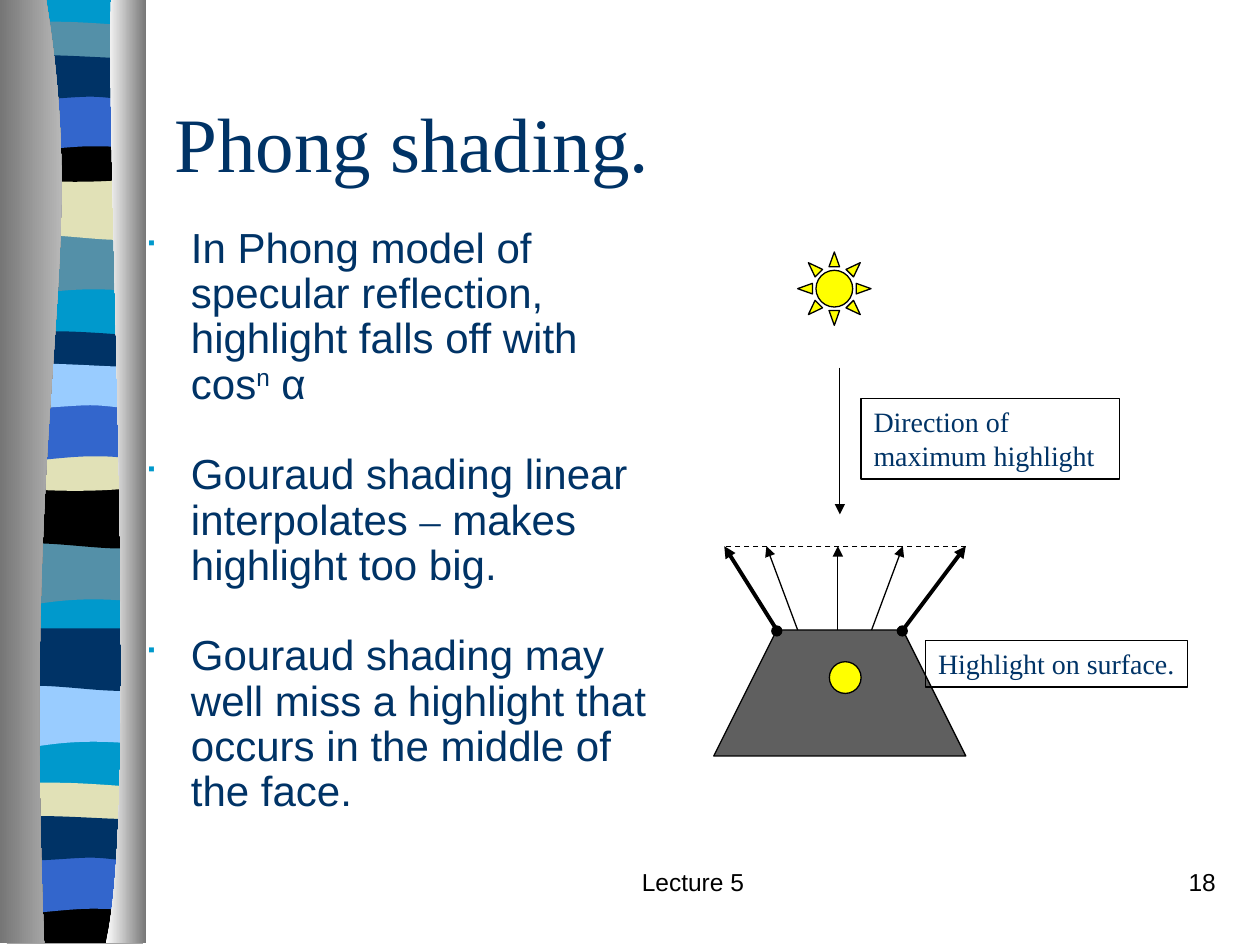
from lxml import etree
from pptx import Presentation
from pptx.dml.color import RGBColor
from pptx.enum.dml import MSO_LINE
from pptx.enum.shapes import MSO_CONNECTOR, MSO_SHAPE
from pptx.enum.text import MSO_ANCHOR, PP_ALIGN
from pptx.oxml.ns import qn
from pptx.util import Cm, Pt

STRAIGHT = MSO_CONNECTOR.STRAIGHT
DASH = MSO_LINE.DASH
SUN, OVAL, RECTANGLE = MSO_SHAPE.SUN, MSO_SHAPE.OVAL, MSO_SHAPE.RECTANGLE
LEFT, CENTER, RIGHT = PP_ALIGN.LEFT, PP_ALIGN.CENTER, PP_ALIGN.RIGHT
MIDDLE, TOP = MSO_ANCHOR.MIDDLE, MSO_ANCHOR.TOP

SANS, SERIF = "Arial", "Times New Roman"
NAVY, CYAN, STEEL, SAND = "003366", "0099CC", "5490A8", "E1E1B7"
BLUE, SKY, BLACK, WHITE = "3366CC", "99CCFF", "000000", "FFFFFF"
GRAY, SILVER, CHARCOAL, YELLOW = "767676", "D8D8D8", "5F5F5F", "FFFF00"

FLAT_TOP = [[(0, 0)], [(2.74, 0)]]
BOWL_TOP = [[(0, 0)], [(1.68, 0.13), (2.16, 0), (2.74, 0)]]
PROFILES = {
    "swell": FLAT_TOP + [[(2.74, 1.19)], [(0.84, 0.99), (0.46, 1.4), (0, 1.19)]],
    "dip": FLAT_TOP + [[(2.74, 1.19)], [(2.29, 1.4), (0.84, 1.04), (0, 1.19)]],
    "arch": FLAT_TOP + [[(2.74, 1.19)], [(2.31, 1.07), (2.13, 1.07), (1.68, 1.07)],
                        [(1.22, 1.07), (0.41, 1.19), (0, 1.19)]],
    "thin": [[(0, 0.13)], [(0.15, 0), (0.58, 0.03), (1.04, 0.03)],
             [(1.5, 0.03), (2.39, 0.1), (2.74, 0.13)],
             [(2.74, 0.74)], [(2.29, 0.84), (0.46, 0.84), (0, 0.74)]],
    "bowl": BOWL_TOP + [[(2.74, 0.82)], [(2.29, 0.96), (0.46, 0.96), (0, 0.82)]],
    "base": BOWL_TOP + [[(2.74, 0.94)], [(0, 0.94)]],
    "wave": [[(0, 0.13)], [(0.38, 0), (1.85, 0.13), (2.31, 0.13)],
             [(2.77, 0.13), (2.64, 0.13), (2.74, 0.13)],
             [(2.74, 0.91)], [(2.57, 1.04), (2.13, 0.91), (1.68, 0.91)],
             [(1.22, 0.91), (0.28, 1.04), (0, 0.91)]],
}
BANDS = [
    ("swell", 4.7, STEEL), ("dip", 3.58, SAND), ("thin", 0.41, STEEL),
    ("bowl", 2.74, BLACK), ("arch", 1.88, BLUE), ("wave", 1.04, NAVY),
    ("swell", 10.95, STEEL), ("dip", 9.8, BLACK), ("thin", 6.65, NAVY),
    ("bowl", 8.97, SAND), ("arch", 8.13, BLUE), ("wave", 7.26, SKY),
    ("swell", 13.82, SKY), ("dip", 12.67, NAVY), ("thin", 15.75, SAND),
    ("base", 18.08, BLACK), ("arch", 17.25, BLUE), ("wave", 16.38, NAVY),
]
PILLARS = [
    ([[(0, 0)], [(0.93, 0)], [(1.83, 5.49), (0.43, 7.52), (0.89, 19.02)], [(0, 19.02)]],
     GRAY, SILVER),
    ([[(2.24, 0)], [(2.95, 0)], [(2.95, 19.02)], [(2.13, 19.02)],
      [(2.82, 16.4), (2.13, 3.2), (2.24, 0)]], WHITE, GRAY),
]
BULLETS = [
    [("In Phong model of specular reflection, highlight falls off with cos", SANS, 0),
     ("n", SANS, 30), (" α", SANS, 0)],
    [("Gouraud shading linear interpolates ", SANS, 0), ("–", SERIF, 0),
     (" makes highlight too big.", SANS, 0)],
    [("Gouraud shading may well miss a highlight that occurs in the middle of the face.",
      SANS, 0)],
]


def rgb(value):
    """Turn a hex string into a colour."""
    return RGBColor.from_string(value)


def style_font(font, name, size, color):
    """Set face, size and colour of a font."""
    font.name, font.size = name, Pt(size)
    font.color.rgb = rgb(color)


def style_shape(shape, fill=None, line=None):
    """Set fill and thin outline, without shadow."""
    shape.shadow.inherit = False
    if fill:
        shape.fill.solid()
        shape.fill.fore_color.rgb = rgb(fill)
    else:
        shape.fill.background()
    if line:
        shape.line.color.rgb = rgb(line)
        shape.line.width = Pt(0.75)
    else:
        shape.line.fill.background()


def add_outline(slide, left, top, segments, fill=None, line=None):
    """Draw a closed outline; one point is a line, three are a cubic curve."""
    points = [(Cm(left + x), Cm(top + y)) for segment in segments for x, y in segment]
    builder = slide.shapes.build_freeform(*points[0])
    builder.add_line_segments(points[1:], close=True)
    outline = builder.convert_to_shape()
    steps = iter(list(outline._element.iter(qn("a:lnTo"))))
    for segment in segments[1:]:
        first, *others = [next(steps) for _ in segment]
        if others:
            first.tag = qn("a:cubicBezTo")
        for step in others:
            first.append(step[0])
            step.getparent().remove(step)
    style_shape(outline, fill, line)
    return outline


def add_ribbon(slide, left, top, width, height):
    """Draw the striped ribbon between its two shaded pillars."""
    right, bottom = width - 0.05, height
    backing = [[(0.15, 0)], [(right, 0)], [(right, bottom)], [(0.15, bottom)]]
    add_outline(slide, left, top, backing, CYAN)
    for profile, offset, color in BANDS:
        add_outline(slide, left + 0.14, top + offset, PROFILES[profile], color)
    for segments, start, end in PILLARS:
        pillar = add_outline(slide, left, top, segments, WHITE)
        pillar.fill.gradient()
        pillar.fill.gradient_angle = 0
        for stop, color in zip(pillar.fill.gradient_stops, (start, end)):
            stop.color.rgb = rgb(color)


def add_title(slide, left, top, width, height):
    """Place the slide title."""
    title = slide.shapes.title
    title.left, title.top, title.width, title.height = map(Cm, (left, top, width, height))
    title.text_frame.text = "Phong shading."
    title.text_frame.vertical_anchor = MIDDLE
    paragraph = title.text_frame.paragraphs[0]
    paragraph.alignment = LEFT
    style_font(paragraph.runs[0].font, SERIF, 44, NAVY)


def add_square_bullet(paragraph):
    """Give a paragraph a hanging square bullet."""
    properties = paragraph._p.get_or_add_pPr()
    properties.set("marL", str(Cm(0.95)))
    properties.set("indent", str(-Cm(0.95)))
    bullet_color = etree.SubElement(properties, qn("a:buClr"))
    etree.SubElement(bullet_color, qn("a:srgbClr"), val=CYAN)
    etree.SubElement(properties, qn("a:buSzPct"), val="80000")
    etree.SubElement(properties, qn("a:buFont"), typeface="Wingdings")
    etree.SubElement(properties, qn("a:buChar"), char="■")


def add_bullets(slide, left, top, width, height):
    """Place the bulleted text."""
    frame = slide.shapes.add_textbox(*map(Cm, (left, top, width, height))).text_frame
    frame.word_wrap = True
    for index, parts in enumerate(BULLETS):
        paragraph = frame.paragraphs[0] if index == 0 else frame.add_paragraph()
        add_square_bullet(paragraph)
        paragraph.line_spacing = 0.9
        if index:
            paragraph.space_before = Pt(25.8)
        for text, face, raised in parts:
            run = paragraph.add_run()
            run.text = text
            style_font(run.font, face, 24, NAVY)
            if raised:
                run.font._element.set("baseline", str(raised * 1000))


def add_label(slide, left, top, width, height, text, wrap):
    """Place an outlined label."""
    label = slide.shapes.add_shape(RECTANGLE, *map(Cm, (left, top, width, height)))
    style_shape(label, line=BLACK)
    frame = label.text_frame
    frame.text, frame.word_wrap, frame.vertical_anchor = text, wrap, TOP
    frame.paragraphs[0].alignment = LEFT
    style_font(frame.paragraphs[0].runs[0].font, SERIF, 16, NAVY)


def add_ray(slide, start, end, width=0.75, arrow=True):
    """Draw a black line, with an arrowhead or dashed."""
    ray = slide.shapes.add_connector(STRAIGHT, *map(Cm, start + end))
    ray.line.color.rgb = rgb(BLACK)
    ray.line.width = Pt(width)
    etree.SubElement(ray._element.spPr, qn("a:effectLst"))
    if arrow:
        etree.SubElement(ray.line._get_or_add_ln(), qn("a:tailEnd"), type="triangle")
    else:
        ray.line.dash_style = DASH


def add_diagram(slide, left, top):
    """Draw the sun, the lit face, its normals and the labels."""
    def at(x, y):
        return left + x, top + y

    def add_symbol(kind, x, y, size, fill):
        symbol = slide.shapes.add_shape(kind, *map(Cm, at(x, y) + (size, size)))
        style_shape(symbol, fill, BLACK)

    add_symbol(SUN, 1.69, 0, 1.48, YELLOW)
    add_ray(slide, at(2.54, 2.33), at(2.54, 5.29))
    add_label(slide, *at(2.97, 2.96), 5.21, 1.62, "Direction of maximum highlight", True)
    face = [[(0, 10.16)], [(1.27, 7.62)], [(3.81, 7.62)], [(5.08, 10.16)]]
    add_outline(slide, left, top, face, CHARCOAL, BLACK)
    for foot, tip, width in ((1.27, 0.21, 2.25), (3.81, 5.08, 2.25), (1.69, 1.06, 0.75),
                             (2.5, 2.5, 0.75), (3.18, 3.81, 0.75)):
        add_ray(slide, at(foot, 7.62), at(tip, 5.93), width)
    add_ray(slide, at(5.08, 5.93), at(0.21, 5.93), arrow=False)
    for corner in (1.27, 3.8):
        add_symbol(OVAL, corner - 0.1, 7.54, 0.2, BLACK)
    add_symbol(OVAL, 2.33, 8.26, 0.64, YELLOW)
    add_label(slide, *at(4.27, 7.83), 5.28, 0.94, "Highlight on surface.", False)


def add_footer(slide, left, top, width, height, text, alignment):
    """Place one footer text."""
    frame = slide.shapes.add_textbox(*map(Cm, (left, top, width, height))).text_frame
    frame.word_wrap = True
    frame.text = text
    frame.paragraphs[0].alignment = alignment
    style_font(frame.paragraphs[0].runs[0].font, SANS, 14, BLACK)


def main():
    """Build and save the slide."""
    deck = Presentation()
    deck.slide_width, deck.slide_height = Cm(25.4), Cm(19.05)
    slide = deck.slides.add_slide(deck.slide_layouts[5])
    add_ribbon(slide, 0, 0, 2.95, 19.02)
    add_footer(slide, 9.95, 17.36, 8.04, 1.27, "Lecture 5", CENTER)
    add_footer(slide, 19.47, 17.36, 5.29, 1.27, "18", RIGHT)
    add_title(slide, 3.26, 1.27, 21.59, 3.18)
    add_bullets(slide, 2.65, 4.45, 10.69, 12.27)
    add_diagram(slide, 14.39, 5.08)
    deck.save("out.pptx")


if __name__ == "__main__":
    main()
